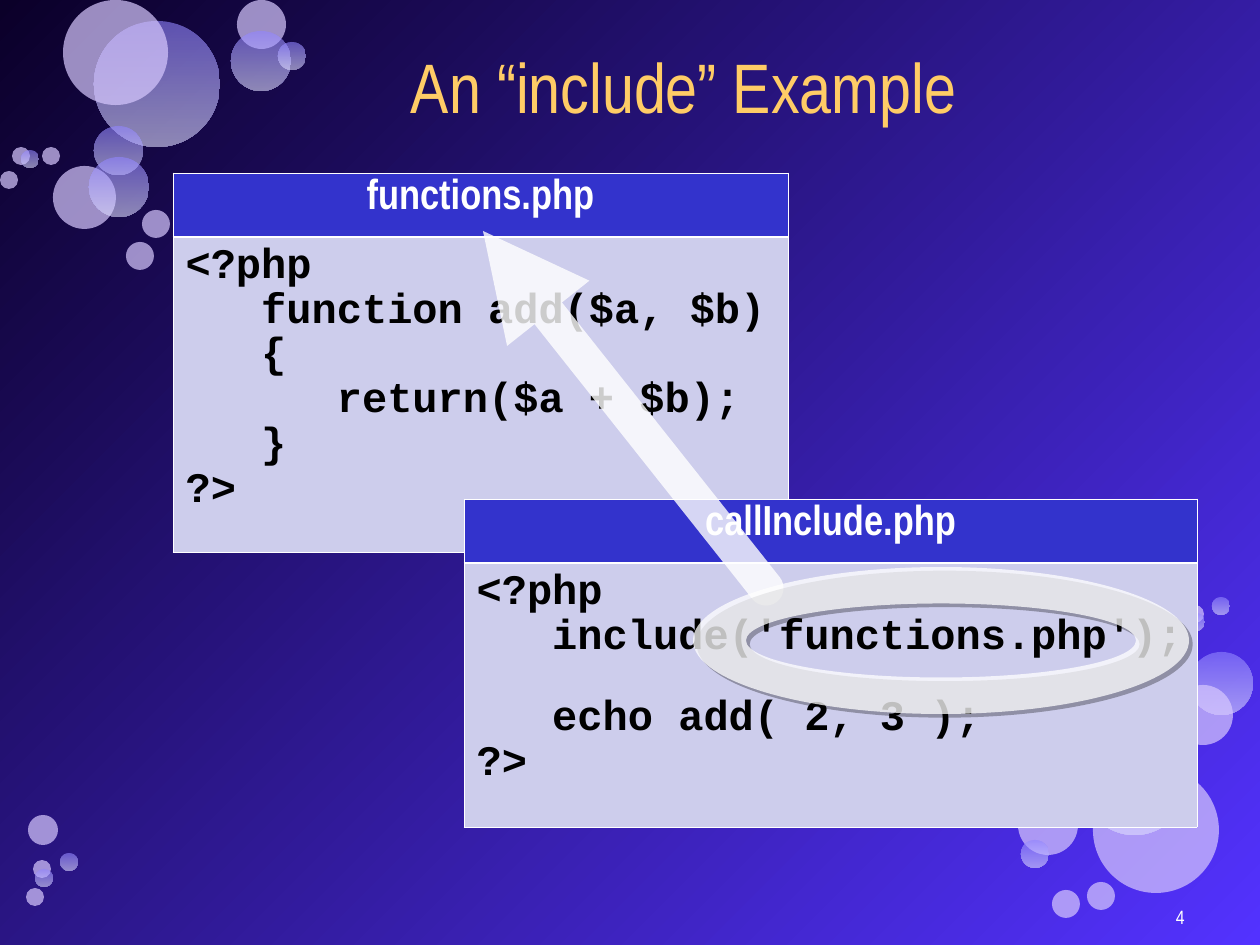
from lxml.etree import SubElement
from pptx import Presentation
from pptx.dml.color import RGBColor
from pptx.enum.shapes import MSO_CONNECTOR, MSO_SHAPE
from pptx.enum.text import MSO_ANCHOR, PP_ALIGN
from pptx.oxml.ns import qn
from pptx.util import Pt

PX = 914400 / 126
COLORS = {
    "night": "0B0029", "violet": "5332FF", "bubble": "D7C8FE",
    "sheen top": "9185FF", "sheen bottom": "DEDCFF", "title": "FFCC66",
    "header": "3333CC", "body": "CDCDEC", "white": "FFFFFF", "black": "000000",
}
TITLE = {"name": "Arial Narrow", "size": Pt(40), "bold": False, "color": "title"}
HEADER = {"name": "Arial Narrow", "size": Pt(24), "bold": True, "color": "white"}
CODE = {"name": "Courier New", "size": Pt(24), "bold": True, "color": "black"}
NUMBER = {"name": "Arial Narrow", "size": Pt(11), "bold": False, "color": "white"}

# (sheen or flat, left, top, diameter)
BUBBLES = [
    ("sheen", 94, 21, 126), ("flat", 53, 166, 63), ("sheen", 94, 126, 49),
    ("sheen", 89, 157, 60), ("flat", 63, 0, 105), ("flat", 237, 0, 49),
    ("sheen", 231, 31, 60), ("sheen", 278, 42, 28), ("flat", 142, 210, 28),
    ("flat", 12, 147, 18), ("flat", 126, 242, 28), ("flat", 0, 171, 18),
    ("sheen", 21, 150, 18), ("flat", 42, 147, 18),
    ("flat", 1093, 767, 126), ("sheen", 1190, 652, 63), ("flat", 1143, 683, 49),
    ("flat", 1173, 685, 60), ("sheen", 1082, 730, 105), ("flat", 28, 815, 30),
    ("flat", 1018, 795, 60), ("sheen", 1021, 840, 28), ("flat", 1052, 890, 28),
    ("flat", 1186, 605, 18), ("flat", 1087, 882, 28), ("sheen", 1212, 597, 18),
    ("sheen", 1187, 613, 18), ("flat", 1179, 633, 18), ("flat", 33, 860, 18),
    ("sheen", 60, 853, 18), ("sheen", 35, 869, 18), ("flat", 26, 888, 18),
]
FUNCTIONS_CODE = [
    "<?php", "   function add($a, $b)", "   {",
    "      return($a + $b);", "   }", "?>",
]
CALL_CODE = ["<?php", "   include('functions.php');", "   echo add( 2, 3 );", "?>"]


def emu(*lengths):
    return [round(length * PX) for length in lengths]


def rgb(name):
    return RGBColor.from_string(COLORS[name])


def set_alpha(element, percent):
    for color in element.iter(qn("a:srgbClr")):
        SubElement(color, qn("a:alpha"), val=str(percent * 1000))


def fill_solid(fill, color):
    fill.solid()
    fill.fore_color.rgb = rgb(color)


def fill_gradient(fill, first, last, angle):
    fill.gradient()
    fill.gradient_angle = angle
    for stop, color in zip(fill.gradient_stops, (first, last)):
        stop.color.rgb = rgb(color)


def write(paragraph, text, style, align, spacing):
    paragraph.alignment = align
    paragraph.line_spacing = spacing
    run = paragraph.add_run()
    run.text = text
    for key, value in style.items():
        if key == "color":
            run.font.color.rgb = rgb(value)
        else:
            setattr(run.font, key, value)


def add_master_bubbles(slide, master):
    """Draw the bubbles and move them to the master as its decoration."""
    for kind, left, top, diameter in BUBBLES:
        bubble = slide.shapes.add_shape(
            MSO_SHAPE.OVAL, *emu(left, top, diameter, diameter))
        bubble.shadow.inherit = False
        bubble.line.fill.background()
        if kind == "sheen":
            fill_gradient(bubble.fill, "sheen top", "sheen bottom", 270)
        else:
            fill_solid(bubble.fill, "bubble")
        set_alpha(bubble._element.spPr, 60 if kind == "sheen" else 70)
        bubble._element.nvSpPr.cNvPr.set("id", str(100 + len(master.shapes)))
        master.shapes._spTree.append(bubble._element)


def place_title(slide, text, box):
    title = slide.shapes.title
    title.left, title.top, title.width, title.height = emu(*box)
    frame = title.text_frame
    frame.margin_left = frame.margin_right = frame.margin_top = frame.margin_bottom = 0
    frame.vertical_anchor = MSO_ANCHOR.MIDDLE
    write(frame.paragraphs[0], text, TITLE, PP_ALIGN.CENTER, 1.04)


def border_cell(cell, thick_side):
    properties = cell._tc.get_or_add_tcPr()
    for side in ("lnL", "lnR", "lnT", "lnB"):
        width = Pt(1.47 if side == thick_side else 0.45)
        edge = SubElement(properties, qn(f"a:{side}"), w=str(int(width)))
        paint = SubElement(edge, qn("a:solidFill"))
        SubElement(paint, qn("a:srgbClr"), val=COLORS["white"])


def add_listing(slide, filename, code, box, header_height=64):
    """Add a file name above its code and return the code paragraphs."""
    listing = slide.shapes.add_table(2, 1, *emu(*box)).table
    listing.first_row = listing.horz_banding = False
    header, body = listing.cell(0, 0), listing.cell(1, 0)
    listing.rows[0].height, listing.rows[1].height = emu(
        header_height, box[3] - header_height)
    for cell, color, thick_side in ((header, "header", "lnB"), (body, "body", "lnT")):
        border_cell(cell, thick_side)
        fill_solid(cell.fill, color)
    write(header.text_frame.paragraphs[0], filename, HEADER, PP_ALIGN.CENTER, 0.98)
    frame = body.text_frame
    for index, line in enumerate(code):
        paragraph = frame.add_paragraph() if index else frame.paragraphs[0]
        write(paragraph, line, CODE, PP_ALIGN.LEFT, 0.94)
    return frame.paragraphs


def add_include_arrow(slide, start, end):
    arrow = slide.shapes.add_connector(MSO_CONNECTOR.STRAIGHT, *emu(*start, *end))
    arrow.line.width = Pt(20)
    arrow.line.color.rgb = rgb("white")
    set_alpha(arrow._element.spPr, 80)
    outline = arrow.line._get_or_add_ln()
    outline.set("cap", "rnd")
    SubElement(outline, qn("a:round"))
    SubElement(outline, qn("a:tailEnd"), type="triangle")
    SubElement(arrow._element.spPr, qn("a:effectLst"))


def add_ellipse(path, center, radii, direction):
    """Append an ellipse of four curves, clockwise for direction 1."""
    def add_point(parent, x, y):
        px, py = emu(center[0] + x * radii[0], center[1] + direction * y * radii[1])
        SubElement(parent, qn("a:pt"), x=str(px), y=str(py))

    bend = 0.5523
    x, y = -1, 0
    add_point(SubElement(path, qn("a:moveTo")), x, y)
    for _ in range(4):
        next_x, next_y = -y, x
        curve = SubElement(path, qn("a:cubicBezTo"))
        add_point(curve, x + bend * next_x, y + bend * next_y)
        add_point(curve, next_x + bend * x, next_y + bend * y)
        add_point(curve, next_x, next_y)
        x, y = next_x, next_y
    SubElement(path, qn("a:close"))


def add_ring(slide, box, hole_radii):
    left, top, width, height = box
    corners = [(left, top), (left + width, top),
               (left + width, top + height), (left, top + height)]
    builder = slide.shapes.build_freeform(*corners[0], scale=PX)
    builder.add_line_segments(corners[1:], close=True)
    ring = builder.convert_to_shape()
    path = next(ring._element.iter(qn("a:path")))
    for command in list(path):
        path.remove(command)
    for name, length in zip("wh", emu(width, height)):
        path.set(name, str(length))
    center = (width / 2, height / 2)
    add_ellipse(path, center, center, 1)
    add_ellipse(path, center, hole_radii, -1)
    fill_solid(ring.fill, "white")
    ring.line.fill.background()
    set_alpha(ring._element.spPr, 75)
    effects = SubElement(ring._element.spPr, qn("a:effectLst"))
    shadow = SubElement(effects, qn("a:outerShdw"), blurRad="0",
                        dist=str(int(Pt(3))), dir="2700000", rotWithShape="0")
    shade = SubElement(shadow, qn("a:srgbClr"), val=COLORS["black"])
    SubElement(shade, qn("a:alpha"), val="40000")


def add_slide_number(slide, number, box):
    frame = slide.shapes.add_textbox(*emu(*box)).text_frame
    frame.word_wrap = True
    frame.vertical_anchor = MSO_ANCHOR.MIDDLE
    write(frame.paragraphs[0], number, NUMBER, PP_ALIGN.RIGHT, 1.04)


def main():
    deck = Presentation()
    deck.slide_width, deck.slide_height = emu(1260, 945)
    slide = deck.slides.add_slide(deck.slide_layouts[5])
    fill_gradient(slide.background.fill, "night", "violet", 315)
    add_master_bubbles(slide, deck.slide_master)
    place_title(slide, "An “include” Example", (131, 28, 1105, 111))
    add_listing(slide, "functions.php", FUNCTIONS_CODE, (173, 173, 615, 379))
    call_lines = add_listing(slide, "callInclude.php", CALL_CODE, (464, 499, 733, 328))
    call_lines[2].space_before = Pt(21)
    add_slide_number(slide, "4", (903, 899, 294, 35))
    add_include_arrow(slide, (766, 588), (483, 231))
    add_ring(slide, (693, 567, 496, 147), (195, 37))
    deck.save("out.pptx")


if __name__ == "__main__":
    main()
